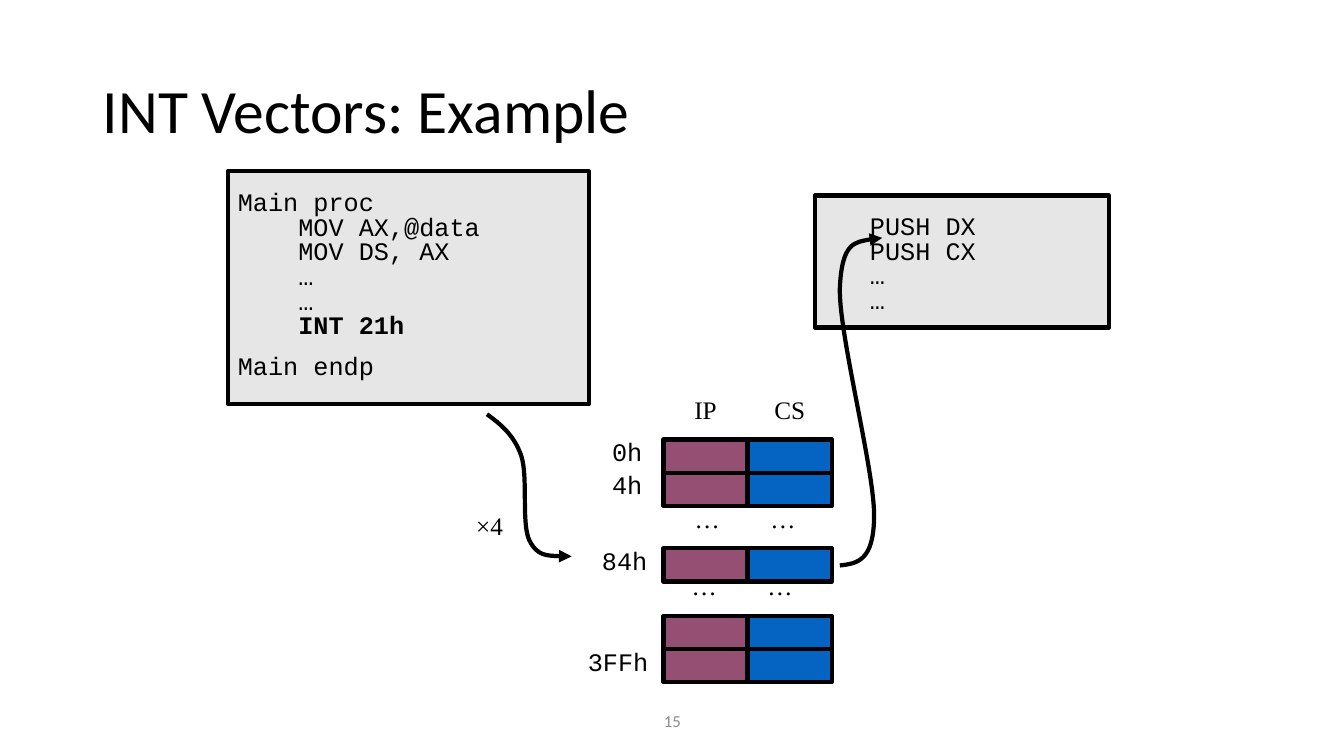
from lxml import etree
from pptx import Presentation
from pptx.dml.color import RGBColor
from pptx.enum.shapes import MSO_SHAPE
from pptx.enum.text import MSO_ANCHOR, PP_ALIGN
from pptx.oxml.ns import qn
from pptx.util import Inches, Pt

RECT = MSO_SHAPE.RECTANGLE
TOP, MIDDLE = MSO_ANCHOR.TOP, MSO_ANCHOR.MIDDLE
LEFT, CENTER, RIGHT = PP_ALIGN.LEFT, PP_ALIGN.CENTER, PP_ALIGN.RIGHT
MONO, SERIF, SANS = "Courier New", "Times New Roman", "Calibri"
BLACK, GREY, PANEL = "000000", "8C8C8C", "E7E6E6"
IP_FILL, CS_FILL = "954F72", "0563C1"


def rgb(code):
    """Turn a hex string into a colour."""
    return RGBColor.from_string(code)


def assign(obj, values):
    """Set each attribute of obj from a dict."""
    for name, value in values.items():
        setattr(obj, name, value)


def write(p, text, font, size=18, color=BLACK, bold=False):
    """Add a formatted run to a paragraph."""
    r = p.add_run()
    r.text = text
    assign(r.font, {"name": font, "size": Pt(size), "bold": bold})
    r.font.color.rgb = rgb(color)


def label(s, box, text, font, align=CENTER, size=18, color=BLACK, anchor=TOP):
    """Place one line of text in a box."""
    tf = s.shapes.add_textbox(*map(Inches, box)).text_frame
    assign(tf, {"word_wrap": True, "vertical_anchor": anchor,
                "margin_left": 0, "margin_right": 0})
    tf.paragraphs[0].alignment = align
    write(tf.paragraphs[0], text, font, size, color)


def outlined_rect(s, box, fill):
    """Draw a filled rectangle with a heavy black outline."""
    sp = s.shapes.add_shape(RECT, *map(Inches, box))
    sp.shadow.inherit = False
    sp.fill.solid()
    sp.fill.fore_color.rgb = rgb(fill)
    sp.line.color.rgb = rgb(BLACK)
    sp.line.width = Pt(3)
    return sp


def add_title(s, box, text):
    """Move and format the title placeholder."""
    sp = s.shapes.title
    assign(sp, dict(zip(("left", "top", "width", "height"), map(Inches, box))))
    sp.text_frame.vertical_anchor = MIDDLE
    p = sp.text_frame.paragraphs[0]
    assign(p, {"alignment": LEFT, "line_spacing": 0.9})
    write(p, text, SANS, 44)


def code_panel(s, box, lines):
    """Draw a listing; each line is text, indent, line spacing and bold."""
    tf = outlined_rect(s, box, PANEL).text_frame
    assign(tf, {"word_wrap": True, "vertical_anchor": TOP,
                "margin_top": Inches(0.3)})
    for i, (text, indent, spacing, bold) in enumerate(lines):
        p = tf.add_paragraph() if i else tf.paragraphs[0]
        assign(p, {"alignment": LEFT, "line_spacing": spacing,
                   "space_before": Pt(9)})
        p._p.get_or_add_pPr().set("marL", str(Inches(indent)))
        write(p, text, MONO, bold=bold)


def vector_table(s, box):
    """Draw the vector table with its headings, addresses and gaps."""
    x, y, w, _ = box
    col_w, row_h, text_h = w / 2, 0.33, 0.4
    for i, head in enumerate(("IP", "CS")):
        label(s, (x + i * col_w, y - 0.5, col_w, text_h), head, SERIF)
    rows = ((0, "0h", 0.21), (0.33, "4h", 0.21), (1.08, "84h", 0.16),
            (1.75, "", 0), (2.08, "3FFh", 0.15))
    for dy, address, gap in rows:
        for i, fill in enumerate((IP_FILL, CS_FILL)):
            outlined_rect(s, (x + i * col_w, y + dy, col_w, row_h), fill)
        if address:
            label(s, (x - gap - 0.8, y + dy - 0.08, 0.8, text_h), address,
                  MONO, RIGHT)
    for dx, dy in ((0.21, 0.58), (0.18, 1.25)):
        for i in range(2):
            label(s, (x + dx + i * 0.75, y + dy, 0.45, text_h), "…", SERIF)


def curved_arrow(s, box, points):
    """Draw cubic curves through points relative to the box, with an arrowhead."""
    x, y = box[:2]
    start, *rest = [(Inches(x + dx), Inches(y + dy)) for dx, dy in points]
    builder = s.shapes.build_freeform(*start)
    builder.add_line_segments(rest, close=False)
    sp = builder.convert_to_shape()
    sp.shadow.inherit = False
    sp.fill.background()
    sp.line.color.rgb = rgb(BLACK)
    sp.line.width = Pt(3)
    etree.SubElement(sp.line._get_or_add_ln(), qn("a:tailEnd"), type="triangle")
    # Every three line segments become one cubic curve
    segments = list(sp._element.iter(qn("a:lnTo")))
    for i in range(0, len(segments), 3):
        curve = etree.Element(qn("a:cubicBezTo"))
        segments[i].addprevious(curve)
        for segment in segments[i:i + 3]:
            curve.append(segment[0])
            segment.getparent().remove(segment)


def build_slide(prs):
    """Build the interrupt vector example."""
    s = prs.slides.add_slide(prs.slide_layouts[5])
    add_title(s, (0.92, 0.4, 11.5, 1.45), "INT Vectors: Example")
    body = ("MOV AX,@data", "MOV DS, AX", "…", "…")
    code_panel(s, (2.26, 1.7, 3.58, 2.31),
               [("Main proc", 0, 0.4, False),
                *((text, 0.6, 0.4, False) for text in body),
                ("INT 21h", 0.6, 0.4, True),
                ("Main endp", 0, 1.0, False)])
    code_panel(s, (8.08, 1.94, 2.92, 1.31),
               [(text, 0.45, 0.4, False)
                for text in ("PUSH DX", "PUSH CX", "…", "…")])
    vector_table(s, (6.58, 4.36, 1.67, 2.41))
    curved_arrow(s, (4.83, 4.11, 0.83, 1.42),
                 ((0, 0), (0.14, 0.1), (0.27, 0.21), (0.34, 0.41),
                  (0.41, 0.62), (0.34, 1.08), (0.42, 1.25),
                  (0.5, 1.41), (0.67, 1.41), (0.84, 1.41)))
    curved_arrow(s, (8.32, 2.36, 0.43, 3.25),
                 ((0.01, 3.25), (0.18, 3.23), (0.35, 3.21), (0.35, 2.75),
                  (0.35, 2.29), (0, 0.96), (0.01, 0.5),
                  (0.03, 0.04), (0.23, 0.02), (0.43, 0)))
    label(s, (4.46, 5.01, 0.79, 0.4), "×4", SERIF)
    label(s, (4.42, 6.95, 4.5, 0.4), "15", SANS, CENTER, 12, GREY, MIDDLE)


prs = Presentation()
prs.slide_width, prs.slide_height = Inches(13.33), Inches(7.5)
build_slide(prs)
prs.save("out.pptx")
